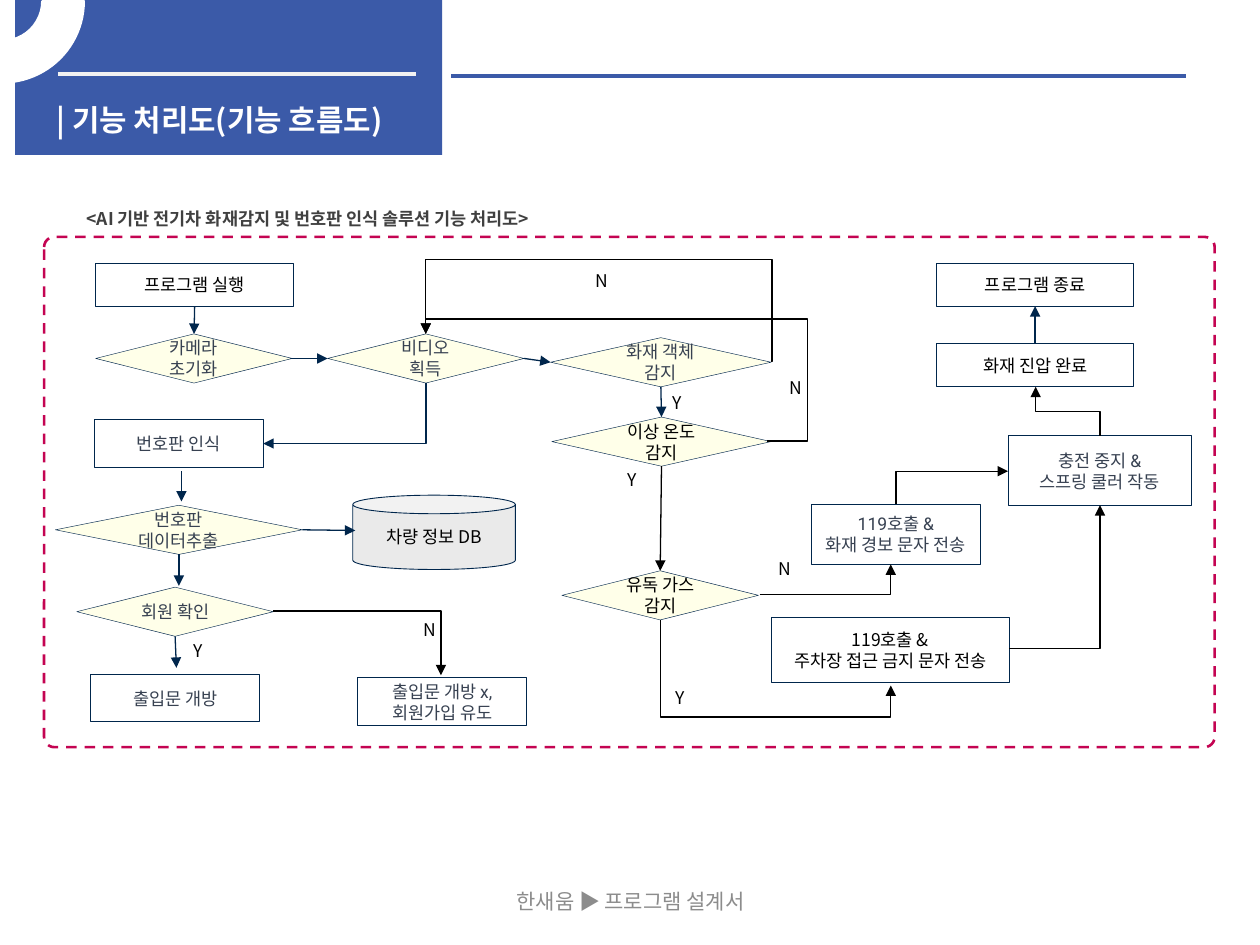
import pptx
import pptx.util
import pptx.dml.color
import pptx.enum.dml
import pptx.enum.shapes
import pptx.enum.text
import pptx.oxml
import pptx.oxml.ns

RGB = pptx.dml.color.RGBColor
MSO = pptx.enum.shapes.MSO_SHAPE
CONN = pptx.enum.shapes.MSO_CONNECTOR
ALIGN = pptx.enum.text.PP_ALIGN
ANCHOR = pptx.enum.text.MSO_ANCHOR
Inches, Pt = pptx.util.Inches, pptx.util.Pt
sub = pptx.oxml.ns.qn

BLUE = RGB(0x3B, 0x5A, 0xA8)
WHITE = RGB(0xFF, 0xFF, 0xFF)
PALE = RGB(0xF2, 0xF2, 0xF2)
NAVY = RGB(0x00, 0x26, 0x4C)
BLACK = RGB(0, 0, 0)
SLATE = RGB(0x37, 0x41, 0x51)
CREAM = RGB(0xFF, 0xFF, 0xE9)
SILVER = RGB(0xEA, 0xEA, 0xEA)
CRIMSON = RGB(0xC4, 0x04, 0x52)
CHARCOAL = RGB(0x40, 0x40, 0x40)
GREY = RGB(0x8C, 0x8C, 0x8C)
KOREAN, LATIN = "Noto Sans CJK KR", "Roboto"
TOP, LEFT, BOTTOM, RIGHT = range(4)

TITLE = "| 기능 처리도(기능 흐름도)"
CAPTION = "<AI 기반 전기차 화재감지 및 번호판 인식 솔루션 기능 처리도>"
FOOTER = "한새움 ▶ 프로그램 설계서"

BOX, DECISION, STORE = MSO.RECTANGLE, MSO.FLOWCHART_DECISION, MSO.CAN
STYLES = {BOX: (None, 0.5, 0.04), DECISION: (CREAM, 0.25, None), STORE: (SILVER, 0.5, 0.04)}
NODES = {
    "run": (BOX, (0.76, 2.09, 1.57, 0.34), "프로그램 실행", BLACK),
    "camera": (DECISION, (0.76, 2.65, 1.56, 0.39), "카메라 초기화", SLATE),
    "video": (DECISION, (2.6, 2.65, 1.56, 0.39), "비디오 획득", SLATE),
    "fire": (DECISION, (4.37, 2.68, 1.75, 0.39), "화재 객체 감지", SLATE),
    "heat": (DECISION, (4.38, 3.31, 1.74, 0.39), "이상 온도 감지", BLACK),
    "gas": (DECISION, (4.46, 4.53, 1.56, 0.39), "유독 가스 감지", BLACK),
    "plate": (BOX, (0.75, 3.33, 1.34, 0.38), "번호판 인식", SLATE),
    "extract": (DECISION, (0.44, 4.01, 1.96, 0.39), "번호판 데이터추출", SLATE),
    "database": (STORE, (2.8, 3.93, 1.29, 0.59), "차량 정보 DB", BLACK),
    "member": (DECISION, (0.61, 4.66, 1.56, 0.39), "회원 확인", SLATE),
    "open": (BOX, (0.72, 5.35, 1.34, 0.38), "출입문 개방", SLATE),
    "refuse": (BOX, (2.84, 5.38, 1.34, 0.38), "출입문 개방 x,\n회원가입 유도", SLATE),
    "alarm": (BOX, (6.44, 4, 1.34, 0.48), "119호출 &\n화재 경보 문자 전송", SLATE),
    "block": (BOX, (6.12, 4.9, 1.89, 0.52), "119호출 &\n주차장 접근 금지 문자 전송", BLACK),
    "sprinkler": (BOX, (8, 3.46, 1.46, 0.55), "충전 중지 &\n스프링 쿨러 작동", SLATE),
    "done": (BOX, (7.43, 2.73, 1.57, 0.34), "화재 진압 완료", BLACK),
    "end": (BOX, (7.43, 2.09, 1.57, 0.34), "프로그램 종료", BLACK),
}
STRAIGHT = [
    (("run", BOTTOM), ("camera", TOP), NAVY),
    (("camera", RIGHT), ("video", LEFT), NAVY),
    (("video", RIGHT), ("fire", LEFT), NAVY),
    (("fire", BOTTOM), ("heat", TOP), NAVY),
    (("heat", BOTTOM), ("gas", TOP), BLACK),
    ((1.44, 3.74), (1.44, 3.98), NAVY),
    (("extract", BOTTOM), (1.42, 4.65), NAVY),
    (("extract", RIGHT), (2.82, 4.21), NAVY),
    (("member", BOTTOM), (1.4, 5.3), NAVY),
    (("done", TOP), ("end", BOTTOM), NAVY),
]
ELBOWS = [
    ("bentConnector2", "down", (3.38, 3.04), (2.09, 3.52), NAVY, ()),
    ("bentConnector4", "across", (6.09, 3.5), (3.38, 2.65), BLACK, (-0.118, 1.14)),
    ("bentConnector4", "across", (6.12, 2.87), (3.38, 2.65), BLACK, (-0.003, 3.676)),
    ("bentConnector2", "across", (6.03, 4.72), (7.07, 4.48), BLACK, ()),
    ("bentConnector2", "across", (2.17, 4.85), (3.5, 5.36), BLACK, ()),
    ("bentConnector3", "down", (5.24, 4.92), (7.07, 5.44), BLACK, (1.482,)),
    ("bentConnector2", "down", (7.11, 4), (8, 3.74), BLACK, ()),
    ("bentConnector2", "across", (8.01, 5.15), (8.73, 4.01), BLACK, ()),
    ("bentConnector3", "down", (8.73, 3.46), (8.22, 3.07), BLACK, (0.5,)),
]
ANSWERS = [("N", 4.63, 2.09), ("N", 6.17, 2.94), ("Y", 5.24, 3.06), ("Y", 4.88, 3.67),
           ("N", 6.08, 4.38), ("N", 3.26, 4.86), ("Y", 1.44, 5.03), ("Y", 5.26, 5.4)]

prs = pptx.Presentation()
prs.slide_width, prs.slide_height = Inches(10), Inches(7.5)
s = prs.slides.add_slide(prs.slide_layouts[6])


def write(sp, text, size, color, font=KOREAN, bold=False, align=ALIGN.CENTER, anchor=ANCHOR.MIDDLE):
    tf = sp.text_frame
    tf.word_wrap, tf.vertical_anchor, tf.text = True, anchor, text
    for p in tf.paragraphs:
        p.alignment = align
        for r in p.runs:
            r.font.name, r.font.size, r.font.bold = font, Pt(size), bold
            r.font.color.rgb = color
            pptx.oxml.ns.qn
            ea = r.font._element.makeelement(sub("a:ea"), {"typeface": KOREAN})
            r.font._element.append(ea)
    return tf


def add_text(at, *args, **kwargs):
    return write(s.shapes.add_textbox(*map(Inches, at)), *args, **kwargs)


def add_shape(kind, at, fill=None, line=None, width=0.5):
    sp = s.shapes.add_shape(kind, *map(Inches, at))
    sp.shadow.inherit = False
    if fill is None:
        sp.fill.background()
    else:
        sp.fill.solid()
        sp.fill.fore_color.rgb = fill
    if line is None:
        sp.line.fill.background()
    else:
        sp.line.color.rgb, sp.line.width = line, Pt(width)
    return sp


def add_line(start, end, color, width=0.75, kind=CONN.STRAIGHT, arrow=True):
    c = s.shapes.add_connector(kind, *map(Inches, (*start, *end)))
    c.line.color.rgb, c.line.width = color, Pt(width)
    if arrow:
        ln = c.line._get_or_add_ln()
        ln.append(ln.makeelement(sub("a:tailEnd"), {"type": "triangle"}))
    props = c._element.spPr
    props.append(props.makeelement(sub("a:effectLst"), {}))
    return c


def add_elbow(preset, heading, start, end, color, adjust):
    (x1, y1), (x2, y2) = start, end
    if heading == "down":
        cx, cy, dx, dy = (x1 + x2) / 2, (y1 + y2) / 2, (x2 - x1) / 2, (y2 - y1) / 2
        start, end = (cx - dy, cy + dx), (cx + dy, cy - dx)
    c = add_line(start, end, color, kind=CONN.ELBOW)
    if heading == "down":
        c._element.spPr.xfrm.set("rot", str(90 * 60000))
    geom = c._element.spPr.find(sub("a:prstGeom"))
    geom.set("prst", preset)
    guides = geom.find(sub("a:avLst"))
    for i, value in enumerate(adjust, 1):
        attrs = {"name": f"adj{i}", "fmla": f"val {round(value * 100000)}"}
        guides.append(guides.makeelement(sub("a:gd"), attrs))


add_shape(BOX, (0.12, 0, 3.39, 1.23), BLUE)
add_line((0.46, 0.59), (3.3, 0.59), PALE, 2.25, arrow=False)
add_line((3.58, 0.6), (9.41, 0.6), BLUE, 2.25, arrow=False)
add_text((0.35, 0.76, 3.23, 0.3), TITLE, 17, WHITE, bold=True, align=ALIGN.LEFT, anchor=ANCHOR.TOP)
arc = add_shape(MSO.BLOCK_ARC, (-0.63, -0.63, 1.29, 1.28), WHITE, WHITE, 2)
arc._element.spPr.xfrm.set("flipV", "1")
for i, value in enumerate((96.95, 0, 0.25)):
    arc.adjustments[i] = value
add_text((3.42, 6.95, 3.17, 0.4), FOOTER, 12, GREY)
tf = add_text((0.59, 1.57, 5.43, 0.28), CAPTION, 10, CHARCOAL, bold=True, align=ALIGN.LEFT, anchor=ANCHOR.TOP)
tf.paragraphs[0].line_spacing = 1.2
frame = add_shape(MSO.ROUNDED_RECTANGLE, (0.35, 1.88, 9.29, 4.05), None, CRIMSON, 1.5)
frame.adjustments[0] = 0.02
frame.line.dash_style = pptx.enum.dml.MSO_LINE.DASH

nodes = {}
for name, (kind, at, text, color) in NODES.items():
    fill, width, inset = STYLES[kind]
    nodes[name] = sp = add_shape(kind, at, fill, NAVY, width)
    tf = write(sp, text, 10, color, LATIN if color == SLATE else KOREAN)
    if inset:
        tf.margin_left = tf.margin_top = tf.margin_right = tf.margin_bottom = Inches(inset)

for start, end, color in STRAIGHT:
    joined = [isinstance(point[0], str) for point in (start, end)]
    c = add_line((0, 0) if joined[0] else start, (0, 0) if joined[1] else end, color)
    if joined[0]:
        c.begin_connect(nodes[start[0]], start[1])
    if joined[1]:
        c.end_connect(nodes[end[0]], end[1])
for elbow in ELBOWS:
    add_elbow(*elbow)
for text, left, top in ANSWERS:
    add_text((left, top, 0.22, 0.27), text, 10, BLACK, anchor=ANCHOR.TOP)

prs.save("out.pptx")
